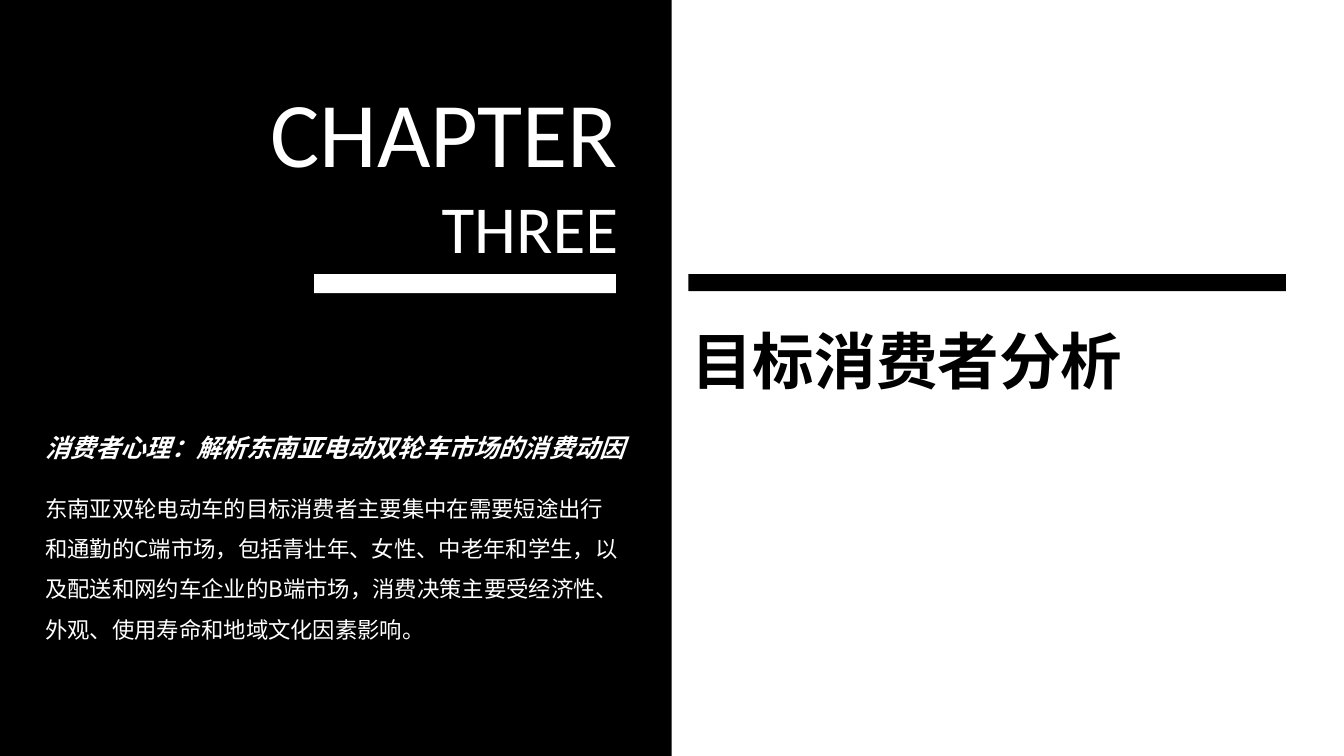
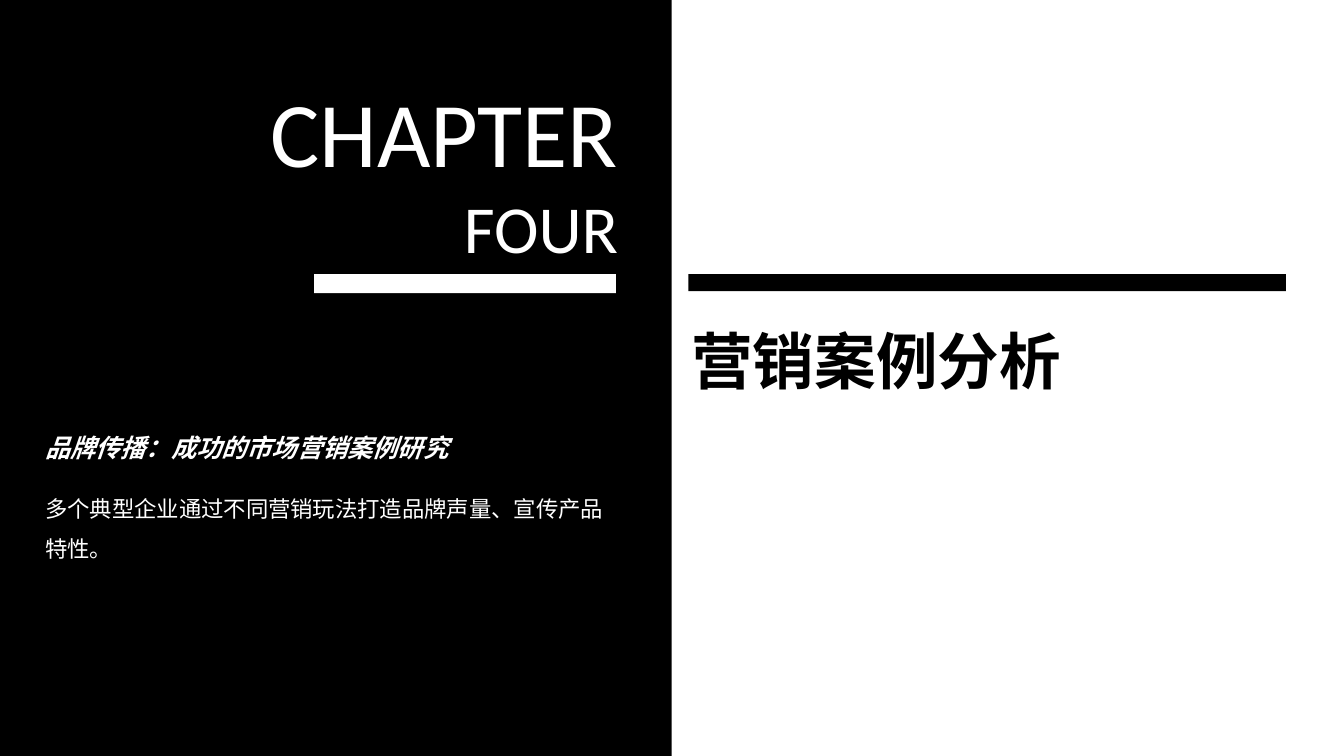
import pptx
import pptx.dml.color
import pptx.enum.shapes
import pptx.enum.text
import pptx.oxml
import pptx.oxml.ns
import pptx.util

Cm = pptx.util.Cm
Align = pptx.enum.text.PP_ALIGN

BLACK = "000000"
WHITE = "FFFFFF"
LATIN_FONT = "Calibri"
CHINESE_FONT = "Noto Sans CJK SC"
SLIDE_WIDTH, SLIDE_HEIGHT = 33.87, 19.05
PANEL_WIDTH = 16.93
RULE_TOP = 6.91
TITLE_ONLY = 5

CHAPTERS = [
    (
        "THREE",
        "目标消费者分析",
        "消费者心理：解析东南亚电动双轮车市场的消费动因",
        "东南亚双轮电动车的目标消费者主要集中在需要短途出行和通勤的C端市场，"
        "包括青壮年、女性、中老年和学生，以及配送和网约车企业的B端市场，"
        "消费决策主要受经济性、外观、使用寿命和地域文化因素影响。",
    ),
    (
        "FOUR",
        "营销案例分析",
        "品牌传播：成功的市场营销案例研究",
        "多个典型企业通过不同营销玩法打造品牌声量、宣传产品特性。",
    ),
]


def rgb(color):
    """Turn a hex string into a colour."""
    return pptx.dml.color.RGBColor.from_string(color)


def add_bar(slide, left, top, width, height, color):
    """Add a plain filled rectangle."""
    kind = pptx.enum.shapes.MSO_SHAPE.RECTANGLE
    shape = slide.shapes.add_shape(kind, Cm(left), Cm(top), Cm(width), Cm(height))
    shape.shadow.inherit = False
    shape.fill.solid()
    shape.fill.fore_color.rgb = rgb(color)
    shape.line.fill.background()


def format_paragraph(paragraph, size, color, name=CHINESE_FONT, bold=False,
                     italic=False, align=Align.LEFT, spacing=1.0):
    """Set the font and layout of a paragraph."""
    paragraph.alignment = align
    paragraph.line_spacing = spacing
    font = paragraph.font
    font.size = pptx.util.Pt(size)
    font.bold = bold
    font.italic = italic
    font.color.rgb = rgb(color)
    font.name = name
    east_asian = pptx.oxml.parse_xml(
        f'<a:ea {pptx.oxml.ns.nsdecls("a")} typeface="{name}"/>')
    properties = paragraph._p.pPr.find(pptx.oxml.ns.qn("a:defRPr"))
    properties.find(pptx.oxml.ns.qn("a:latin")).addnext(east_asian)


def add_text(slide, left, top, width, height, lines, **style):
    """Add a wrapped text box from (text, size) lines in one style."""
    box = slide.shapes.add_textbox(Cm(left), Cm(top), Cm(width), Cm(height))
    frame = box.text_frame
    frame.word_wrap = True
    frame.text = "\n".join(text for text, size in lines)
    for paragraph, (text, size) in zip(frame.paragraphs, lines):
        format_paragraph(paragraph, size, WHITE, **style)


def add_chapter_panel(slide, left, top, width, height, number, heading, summary):
    """Fill the dark half with the chapter number, heading and summary."""
    add_bar(slide, left, top, width, height, BLACK)
    add_text(slide, left + 4.78, top + 1.78, 11.05, 5.13,
             [("CHAPTER", 66), (number, 48)], name=LATIN_FONT, align=Align.RIGHT)
    add_bar(slide, left + 7.92, top + RULE_TOP, 7.6, 0.48, WHITE)
    add_text(slide, left + 0.89, top + 10.77, width, 1.02, [(heading, 18)],
             bold=True, italic=True)
    add_text(slide, left + 0.89, top + 12.01, 14.94, 4.24, [(summary, 16)],
             spacing=1.5)


def add_title_panel(slide, left, top, title):
    """Place the rule and the slide title on the light half."""
    add_bar(slide, left + 0.42, top + RULE_TOP, 15.06, 0.43, BLACK)
    shape = slide.shapes.title
    shape.left, shape.top = Cm(left + 0.24), Cm(top + 8)
    shape.width, shape.height = Cm(15.54), Cm(2.13)
    frame = shape.text_frame
    frame.text = title
    frame.word_wrap = True
    frame.auto_size = pptx.enum.text.MSO_AUTO_SIZE.NONE
    frame.vertical_anchor = pptx.enum.text.MSO_ANCHOR.TOP
    format_paragraph(frame.paragraphs[0], 44, BLACK, bold=True,
                     align=Align.JUSTIFY)


def add_chapter_slide(presentation, number, title, heading, summary):
    """Add one chapter divider slide."""
    slide = presentation.slides.add_slide(presentation.slide_layouts[TITLE_ONLY])
    add_chapter_panel(slide, 0, 0, PANEL_WIDTH, SLIDE_HEIGHT,
                      number, heading, summary)
    add_title_panel(slide, PANEL_WIDTH, 0, title)


def main():
    """Build and save the presentation."""
    presentation = pptx.Presentation()
    presentation.slide_width = Cm(SLIDE_WIDTH)
    presentation.slide_height = Cm(SLIDE_HEIGHT)
    for chapter in CHAPTERS:
        add_chapter_slide(presentation, *chapter)
    presentation.save("out.pptx")


if __name__ == "__main__":
    main()
